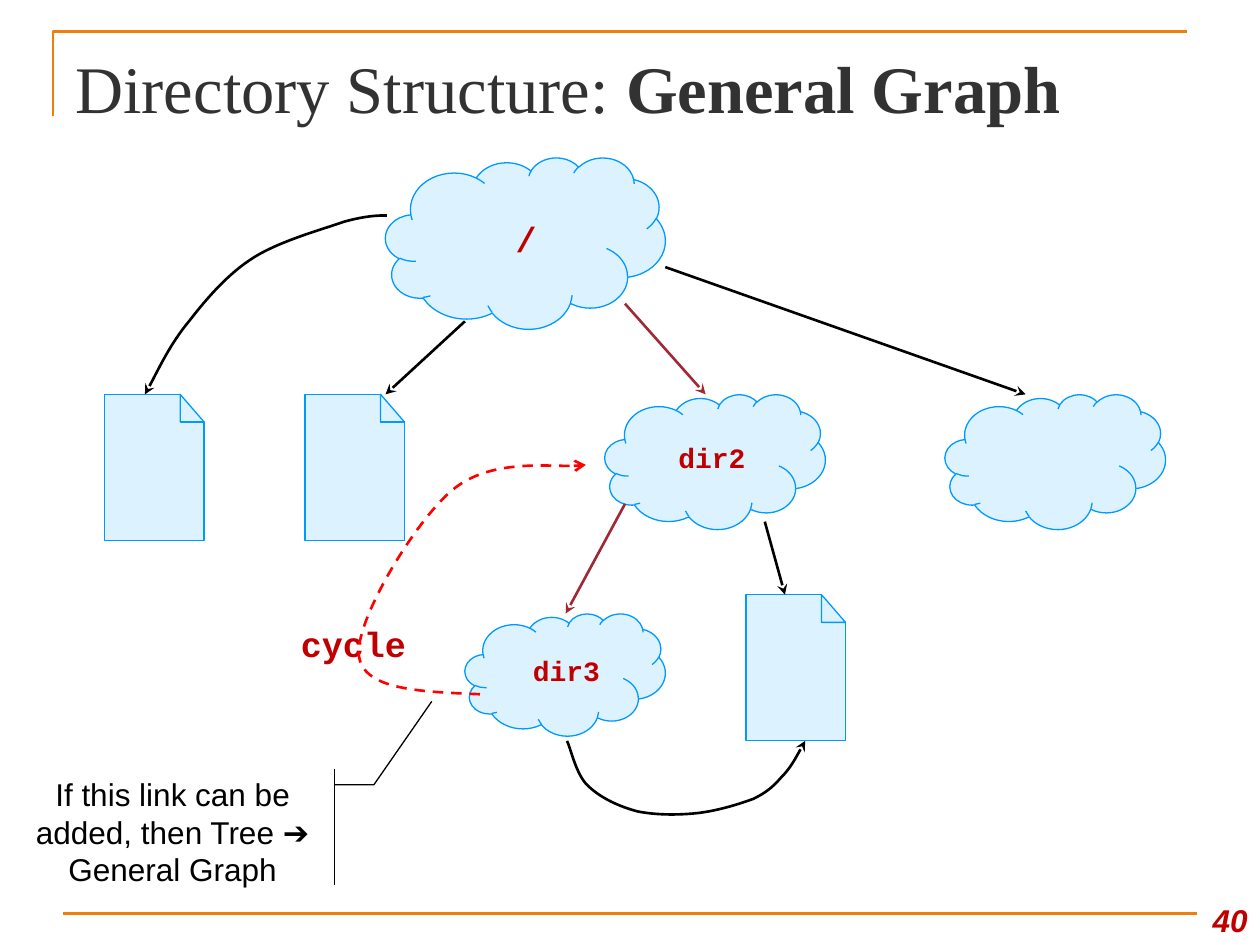
from typing import NamedTuple

from lxml import etree
from pptx import Presentation
from pptx.dml.color import RGBColor
from pptx.enum.dml import MSO_LINE_DASH_STYLE as Dash
from pptx.enum.shapes import MSO_CONNECTOR as Connector, MSO_SHAPE as Preset
from pptx.enum.text import MSO_ANCHOR as Anchor, MSO_AUTO_SIZE as AutoSize, PP_ALIGN as Align
from pptx.oxml.ns import qn
from pptx.util import Inches, Pt

ORANGE, BLACK, MAROON, RED = "F07F09", "000000", "9F2936", "FF0000"
PALE, BLUE, CRIMSON = "DDF2FF", "0099FF", "C00000"
PAGE_W, PAGE_H, FOLD_W, FOLD_H = 0.79, 1.16, 0.19, 0.22

Point = tuple[float, float]


class Cloud(NamedTuple):
    x: float
    y: float
    w: float
    h: float


class Label(NamedTuple):
    text: str
    x: float
    y: float
    w: float
    h: float
    size: int
    align: Align


class Arrow(NamedTuple):
    start: Point
    end: Point
    color: str


class Curve(NamedTuple):
    points: list[Point]  # start, then three Bezier points per segment
    color: str = BLACK
    head: str = "stealth"
    dashed: bool = False


def rgb(color: str) -> RGBColor:
    return RGBColor.from_string(color)


def style_line(shape, color: str, width: float, head: str = "", dashed: bool = False) -> None:
    shape.line.color.rgb = rgb(color)
    shape.line.width = Pt(width)
    if dashed:
        shape.line.dash_style = Dash.DASH
    if head:
        outline = shape._element.spPr.find(qn("a:ln"))
        etree.SubElement(outline, qn("a:tailEnd"), type=head)


def write(frame, text: str, *, size: int, font: str = "Arial", color: str = BLACK,
          bold: bool = False, italic: bool = False, align: Align = Align.LEFT) -> None:
    """Append a formatted run to the frame's first paragraph."""
    paragraph = frame.paragraphs[0]
    paragraph.alignment = align
    run = paragraph.add_run()
    run.text = text
    run.font.name, run.font.size = font, Pt(size)
    run.font.bold, run.font.italic = bold, italic
    run.font.color.rgb = rgb(color)


def text_frame(slide, x: float, y: float, w: float, h: float, anchor: Anchor, wrap: bool = True):
    frame = slide.shapes.add_textbox(Inches(x), Inches(y), Inches(w), Inches(h)).text_frame
    frame.word_wrap = wrap
    frame.vertical_anchor = anchor
    return frame


def draw_label(slide, label: Label) -> None:
    frame = text_frame(slide, label.x, label.y, label.w, label.h, Anchor.TOP, wrap=False)
    frame.auto_size = AutoSize.SHAPE_TO_FIT_TEXT
    write(frame, label.text, size=label.size, font="Courier New", color=CRIMSON,
          bold=True, align=label.align)


def draw_line(slide, start: Point, end: Point, color: str, head: str = "") -> None:
    line = slide.shapes.add_connector(Connector.STRAIGHT, *map(Inches, start + end))
    style_line(line, color, 1.5, head)
    etree.SubElement(line._element.spPr, qn("a:effectLst"))


def style_node(shape) -> None:
    shape.shadow.inherit = False
    shape.fill.solid()
    shape.fill.fore_color.rgb = rgb(PALE)
    style_line(shape, BLUE, 0.75)


def draw_cloud(slide, cloud: Cloud) -> None:
    style_node(slide.shapes.add_shape(Preset.CLOUD, *map(Inches, cloud)))


def to_emu(points: list[Point]) -> list[tuple[int, int]]:
    return [(Inches(x), Inches(y)) for x, y in points]


def draw_page(slide, x: float, y: float) -> None:
    """A file: a sheet with its top right corner folded."""
    right, bottom = x + PAGE_W, y + PAGE_H
    fold_x, fold_y = right - FOLD_W, y + FOLD_H
    sheet = to_emu([(x, y), (fold_x, y), (fold_x, fold_y), (right, fold_y),
                    (right, bottom), (x, bottom)])
    fold = to_emu([(fold_x, y), (right, fold_y), (fold_x, fold_y)])
    builder = slide.shapes.build_freeform(*sheet[0])
    builder.add_line_segments(sheet[1:], close=True)
    builder.move_to(*fold[0])
    builder.add_line_segments(fold[1:], close=True)
    style_node(builder.convert_to_shape())


def draw_open_path(slide, points: list[Point]):
    start, *rest = to_emu(points)
    builder = slide.shapes.build_freeform(*start)
    builder.add_line_segments(rest, close=False)
    shape = builder.convert_to_shape()
    shape.shadow.inherit = False
    shape.fill.background()
    return shape


def draw_curve(slide, curve: Curve) -> None:
    shape = draw_open_path(slide, curve.points)
    # Merge each three straight segments into one Bezier segment
    path = next(shape._element.iter(qn("a:path")))
    segments = path.findall(qn("a:lnTo"))
    for first in range(0, len(segments), 3):
        bezier = etree.SubElement(path, qn("a:cubicBezTo"))
        for segment in segments[first:first + 3]:
            bezier.append(segment[0])
            path.remove(segment)
    style_line(shape, curve.color, 1.5, curve.head, curve.dashed)


CLOUDS = [
    Cloud(3.06, 1.25, 2.22, 1.36),
    Cloud(4.8, 3.13, 1.75, 1.07),
    Cloud(7.5, 3.13, 1.75, 1.07),
    Cloud(3.69, 4.87, 1.59, 0.97),
]
PAGES = [(0.83, 3.13), (2.42, 3.13), (5.92, 4.72)]
ARROWS = [
    Arrow((4.96, 4), (4.49, 4.87), MAROON),
    Arrow((4.96, 2.41), (5.6, 3.13), MAROON),
    Arrow((3.69, 2.55), (3.06, 3.13), BLACK),
    Arrow((5.28, 2.12), (8.14, 3.13), BLACK),
    Arrow((6.07, 4.14), (6.23, 4.72), BLACK),
]
DIR3_TO_FILE = Curve([
    (4.5, 5.88), (4.53, 5.94), (4.57, 6.14), (4.66, 6.23), (4.76, 6.33), (4.91, 6.4),
    (5.06, 6.44), (5.21, 6.47), (5.4, 6.47), (5.56, 6.45), (5.71, 6.43), (5.87, 6.38),
    (5.98, 6.34), (6.08, 6.29), (6.13, 6.25), (6.2, 6.17), (6.27, 6.1), (6.33, 5.99),
    (6.39, 5.88)])
ROOT_TO_FILE = Curve([
    (3.07, 1.71), (3.01, 1.71), (2.91, 1.71), (2.73, 1.76), (2.56, 1.82), (2.23, 1.91),
    (2.02, 2.04), (1.81, 2.17), (1.64, 2.37), (1.5, 2.55), (1.35, 2.73), (1.22, 3.01),
    (1.15, 3.13)])
CYCLE_LINK = Curve([
    (3.81, 5.51), (3.35, 5.49), (2.89, 5.48), (2.85, 5.21), (2.81, 4.94), (3.29, 4.14),
    (3.59, 3.89), (3.89, 3.64), (4.48, 3.72), (4.65, 3.69)], RED, "arrow", True)
LABELS = [
    Label("/", 3.99, 1.68, 0.37, 0.44, 20, Align.CENTER),
    Label("dir2", 5.28, 3.45, 0.74, 0.37, 16, Align.CENTER),
    Label("dir3", 4.12, 5.14, 0.74, 0.37, 16, Align.RIGHT),
    Label("cycle", 2.29, 4.89, 1.04, 0.44, 20, Align.LEFT),
]


def main() -> None:
    deck = Presentation()
    deck.slide_width, deck.slide_height = Inches(10), Inches(7.5)
    slide = deck.slides.add_slide(deck.slide_layouts[6])

    # Frame lines and title
    corner = draw_open_path(slide, [(0.42, 0.92), (0.42, 0.25), (9.42, 0.25)])
    style_line(corner, ORANGE, 1.5)
    draw_line(slide, (0.5, 7.25), (9.5, 7.25), ORANGE)
    title = text_frame(slide, 0.5, 0.3, 9, 0.78, Anchor.MIDDLE)
    for words, bold in (("Directory Structure: ", False), ("General Graph", True)):
        write(title, words, size=38, font="Times New Roman", color="323232", bold=bold)

    # Directories and files
    for cloud in CLOUDS:
        draw_cloud(slide, cloud)
    for x, y in PAGES:
        draw_page(slide, x, y)

    # Links and names
    for arrow in ARROWS:
        draw_line(slide, arrow.start, arrow.end, arrow.color, "stealth")
    for label in LABELS:
        draw_label(slide, label)
    for curve in (DIR3_TO_FILE, ROOT_TO_FILE, CYCLE_LINK):
        draw_curve(slide, curve)

    # Remark on the cycle link
    remark = slide.shapes.add_shape(Preset.LINE_CALLOUT_2_ACCENT_BAR, Inches(0.16),
                                    Inches(6.1), Inches(2.42), Inches(0.92))
    for index, value in enumerate((0.14, 1.03, 0.14, 1.16, -0.58, 1.35)):
        remark.adjustments[index] = value
    remark.shadow.inherit = False
    remark.fill.background()
    style_line(remark, BLACK, 0.75)
    remark.text_frame.word_wrap = True
    remark.text_frame.vertical_anchor = Anchor.TOP
    write(remark.text_frame, "If this link can be added, then Tree ➔ General Graph",
          size=18, align=Align.CENTER)

    # Slide number
    number = text_frame(slide, 9.42, 7, 0.58, 0.5, Anchor.BOTTOM)
    write(number, "40", size=18, color=CRIMSON, bold=True, italic=True, align=Align.RIGHT)

    deck.save("out.pptx")


if __name__ == "__main__":
    main()
